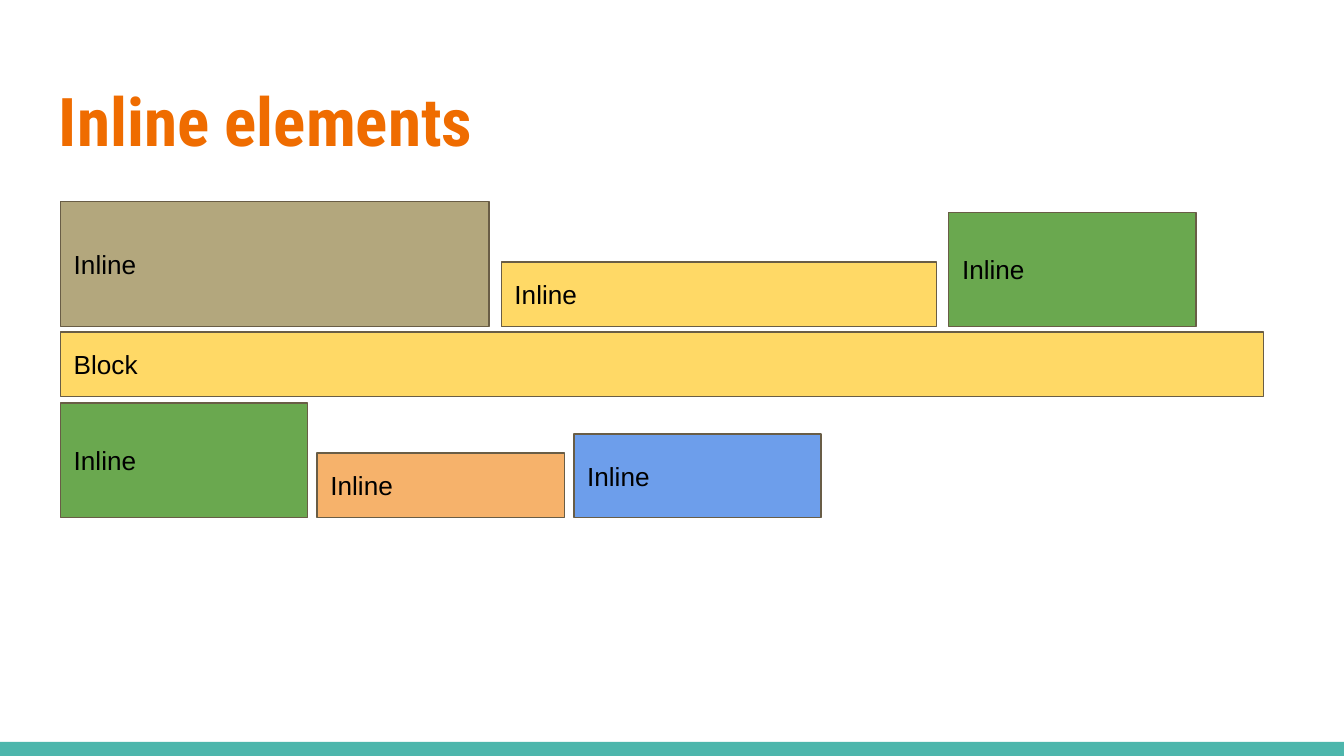
from pptx import Presentation
from pptx import util as u
from pptx.dml.color import RGBColor
from pptx.enum import shapes, text

TEAL = RGBColor(0x4D, 0xB6, 0xAC)
ORANGE = RGBColor(0xEF, 0x6C, 0x00)
BROWN = RGBColor(0x69, 0x5D, 0x46)
TAN = RGBColor(0xB3, 0xA7, 0x7D)
YELLOW = RGBColor(0xFF, 0xD9, 0x66)
GREEN = RGBColor(0x6A, 0xA8, 0x4F)
PEACH = RGBColor(0xF6, 0xB2, 0x6B)
BLUE = RGBColor(0x6D, 0x9E, 0xEB)
BLACK = RGBColor(0, 0, 0)
WHITE = RGBColor(0xFF, 0xFF, 0xFF)

LEFT = 0.45
BLOCK_WIDTH = 8.95


def write_text(shape, words, size=14, font="Arial", color=BLACK, bold=False,
               anchor=text.MSO_ANCHOR.MIDDLE):
    frame = shape.text_frame
    frame.word_wrap = True
    frame.vertical_anchor = anchor
    frame.margin_left = frame.margin_right = u.Inches(0.1)
    frame.margin_top = frame.margin_bottom = u.Inches(0.1)
    paragraph = frame.paragraphs[0]
    paragraph.alignment = text.PP_ALIGN.LEFT
    run = paragraph.add_run()
    run.text = words
    run.font.size = u.Pt(size)
    run.font.name = font
    run.font.bold = bold
    run.font.color.rgb = color


def add_rectangle(slide, left, top, width, height, fill, line=None):
    shape = slide.shapes.add_shape(
        shapes.MSO_SHAPE.RECTANGLE,
        u.Inches(left), u.Inches(top), u.Inches(width), u.Inches(height))
    shape.shadow.inherit = False
    shape.fill.solid()
    shape.fill.fore_color.rgb = fill
    if line is None:
        shape.line.fill.background()
    else:
        shape.line.color.rgb = line
        shape.line.width = u.Pt(0.75)
    return shape


def add_title(slide, left, top, width, height):
    box = slide.shapes.add_textbox(
        u.Inches(left), u.Inches(top), u.Inches(width), u.Inches(height))
    write_text(box, "Inline elements", size=36, font="Roboto Condensed",
               color=ORANGE, bold=True, anchor=text.MSO_ANCHOR.TOP)


def add_element_row(slide, left, bottom, gap, elements):
    for label, width, height, fill in elements:
        shape = add_rectangle(slide, left, bottom - height, width, height, fill, BROWN)
        write_text(shape, label)
        left += width + gap


def build_slide(presentation):
    slide = presentation.slides.add_slide(presentation.slide_layouts[6])
    slide.background.fill.solid()
    slide.background.fill.fore_color.rgb = WHITE
    add_rectangle(slide, 0, 5.52, 10, 0.11, TEAL)
    add_title(slide, 0.34, 0.49, 9.32, 0.77)
    add_element_row(slide, LEFT, 2.43, 0.09, [
        ("Inline", 3.19, 0.93, TAN),
        ("Inline", 3.24, 0.48, YELLOW),
        ("Inline", 1.84, 0.85, GREEN),
    ])
    add_element_row(slide, LEFT, 2.95, 0, [("Block", BLOCK_WIDTH, 0.48, YELLOW)])
    add_element_row(slide, LEFT, 3.85, 0.07, [
        ("Inline", 1.84, 0.85, GREEN),
        ("Inline", 1.84, 0.48, PEACH),
        ("Inline", 1.84, 0.62, BLUE),
    ])


def main():
    presentation = Presentation()
    presentation.slide_width = u.Inches(10)
    presentation.slide_height = presentation.slide_width * 9 // 16
    build_slide(presentation)
    presentation.save("out.pptx")


if __name__ == "__main__":
    main()
